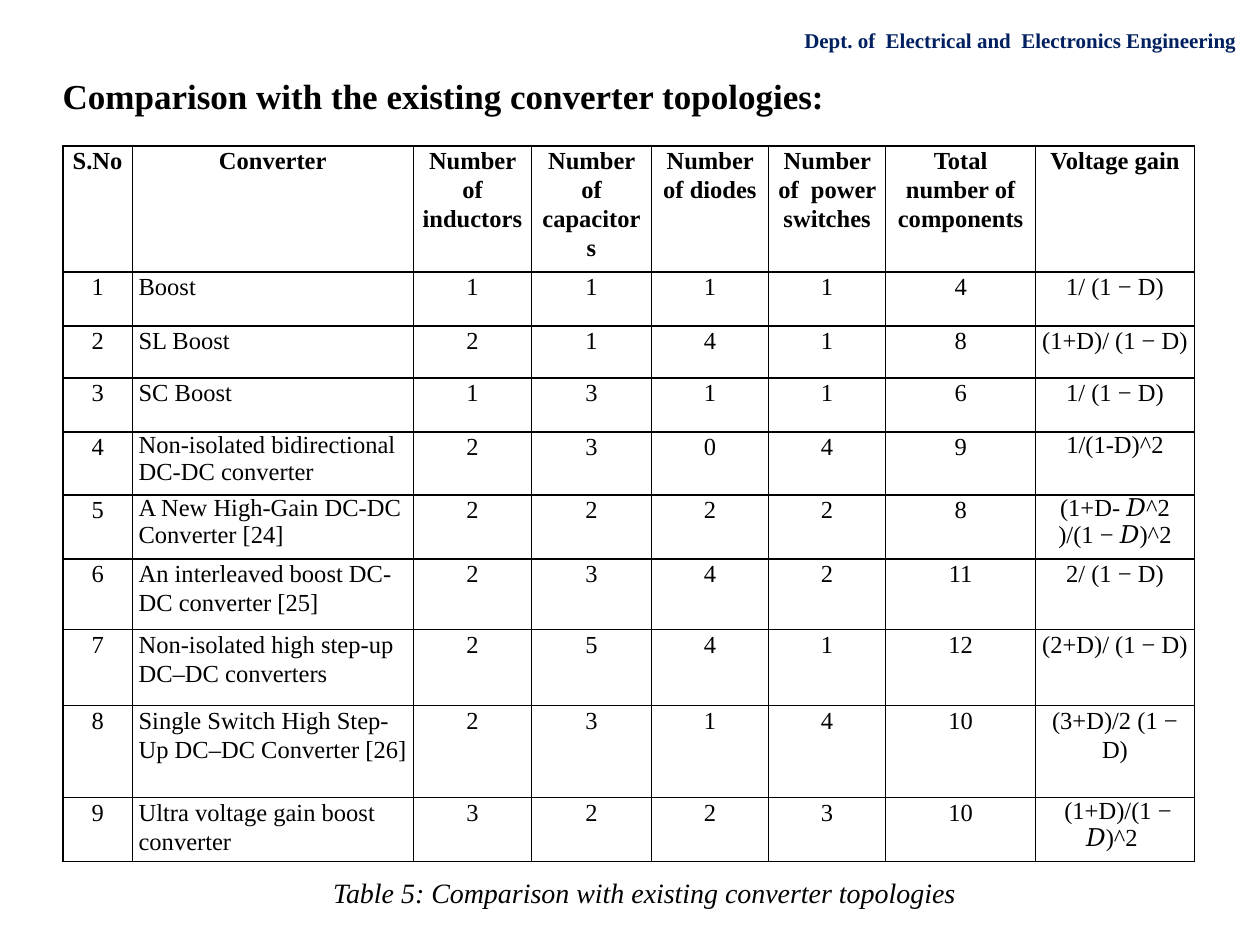
from typing import NamedTuple

from lxml import etree
from pptx import Presentation
from pptx import util as u
from pptx.dml.color import RGBColor
from pptx.enum import text
from pptx.oxml import ns

FONT = "Times New Roman"
BLACK = RGBColor(0x00, 0x00, 0x00)
NAVY = RGBColor(0x00, 0x20, 0x60)
CENTER, LEFT = text.PP_ALIGN.CENTER, text.PP_ALIGN.LEFT

COLUMN_WIDTHS = (0.55, 2.23, 0.94, 0.95, 0.93, 0.93, 1.19, 1.26)
ROW_HEIGHTS = (0.98, 0.43, 0.41, 0.43, 0.5, 0.51, 0.56, 0.6, 0.73, 0.51)
HEADINGS = (
    "S.No", "Converter", "Number of inductors", "Number of capacitors",
    "Number of diodes", "Number of  power switches",
    "Total number of components", "Voltage gain",
)


class Converter(NamedTuple):
    name: str
    inductors: int
    capacitors: int
    diodes: int
    switches: int
    total: int
    gain: str
    tight_name: bool = False
    tight_gain: bool = False


CONVERTERS = (
    Converter("Boost", 1, 1, 1, 1, 4, "1/ (1 − D)"),
    Converter("SL Boost", 2, 1, 4, 1, 8, "(1+D)/ (1 − D)"),
    Converter("SC Boost", 1, 3, 1, 1, 6, "1/ (1 − D)"),
    Converter("Non-isolated bidirectional DC-DC converter", 2, 3, 0, 4, 9,
              "1/(1-D)^2", tight_name=True, tight_gain=True),
    Converter("A New High-Gain DC-DC Converter [24]", 2, 2, 2, 2, 8,
              "(1+D- 𝐷^2 )/(1 − 𝐷)^2", tight_name=True, tight_gain=True),
    Converter("An interleaved boost DC-DC converter [25]", 2, 3, 4, 2, 11,
              "2/ (1 − D)"),
    Converter("Non-isolated high step-up DC–DC converters", 2, 5, 4, 1, 12,
              "(2+D)/ (1 − D)"),
    Converter("Single Switch High Step-Up DC–DC Converter [26]", 2, 3, 1, 4, 10,
              "(3+D)/2 (1 − D)"),
    Converter("Ultra voltage gain boost converter", 3, 2, 2, 3, 10,
              " (1+D)/(1 − 𝐷)^2 ", tight_gain=True),
)


def write(frame, words: str, *, size: float, color=BLACK, bold=False,
          italic=False, align=CENTER, spacing=1.0, after=0.0) -> None:
    para = frame.paragraphs[0]
    para.alignment = align
    para.line_spacing = spacing
    para.space_after = u.Pt(after)
    span = para.add_run()
    span.text = words
    font = span.font
    font.name, font.size, font.bold, font.italic = FONT, u.Pt(size), bold, italic
    font.color.rgb = color


def add_label(page, words: str, left: float, top: float, width: float,
              height: float, *, anchor=text.MSO_ANCHOR.MIDDLE, **style) -> None:
    box = page.shapes.add_textbox(u.Inches(left), u.Inches(top),
                                  u.Inches(width), u.Inches(height))
    frame = box.text_frame
    frame.word_wrap = True
    frame.vertical_anchor = anchor
    write(frame, words, **style)


def draw_borders(cell, points: float = 1) -> None:
    """Give all four sides of the cell a solid black line."""
    properties = cell._tc.get_or_add_tcPr()
    for side in ("lnL", "lnR", "lnT", "lnB"):
        line = etree.SubElement(properties, ns.qn(f"a:{side}"),
                                w=str(u.Pt(points)))
        fill = etree.SubElement(line, ns.qn("a:solidFill"))
        etree.SubElement(fill, ns.qn("a:srgbClr"), val=str(BLACK))


def fill_cell(cell, words: str, **style) -> None:
    cell.margin_left = cell.margin_right = u.Inches(0.05)
    cell.margin_top = cell.margin_bottom = 0
    draw_borders(cell)
    cell.fill.background()
    write(cell.text_frame, words, size=14, **style)


def add_comparison(page) -> None:
    table = page.shapes.add_table(
        len(ROW_HEIGHTS), len(COLUMN_WIDTHS), u.Inches(0.5), u.Inches(1.16),
        u.Inches(sum(COLUMN_WIDTHS)), u.Inches(sum(ROW_HEIGHTS))).table
    table.first_row = table.horz_banding = False
    for column, width in zip(table.columns, COLUMN_WIDTHS):
        column.width = u.Inches(width)
    for row, height in zip(table.rows, ROW_HEIGHTS):
        row.height = u.Inches(height)

    loose = dict(spacing=1.07, after=8)
    for index, heading in enumerate(HEADINGS):
        fill_cell(table.cell(0, index), heading, bold=True, **loose)
    for number, item in enumerate(CONVERTERS, start=1):
        counts = (item.inductors, item.capacitors, item.diodes,
                  item.switches, item.total)
        fill_cell(table.cell(number, 0), str(number), **loose)
        fill_cell(table.cell(number, 1), item.name, align=LEFT, after=8,
                  spacing=1.0 if item.tight_name else 1.07)
        for index, count in enumerate(counts, start=2):
            fill_cell(table.cell(number, index), str(count), **loose)
        fill_cell(table.cell(number, 7), item.gain,
                  **({} if item.tight_gain else loose))


def main() -> None:
    deck = Presentation()
    deck.slide_width, deck.slide_height = u.Inches(10), u.Inches(7.5)
    page = deck.slides.add_slide(deck.slide_layouts[6])
    add_label(page, "Comparison with the existing converter topologies:",
              0.06, 0.57, 6.92, 0.38, size=20, bold=True)
    add_label(page, "Dept. of  Electrical and  Electronics Engineering ",
              6.25, 0.08, 3.74, 0.48, size=12, bold=True, color=NAVY)
    add_comparison(page)
    add_label(page, "Table 5: Comparison with existing converter topologies",
              2.03, 6.9, 6.17, 0.37, size=16, italic=True,
              anchor=text.MSO_ANCHOR.TOP)
    deck.save("out.pptx")


if __name__ == "__main__":
    main()
